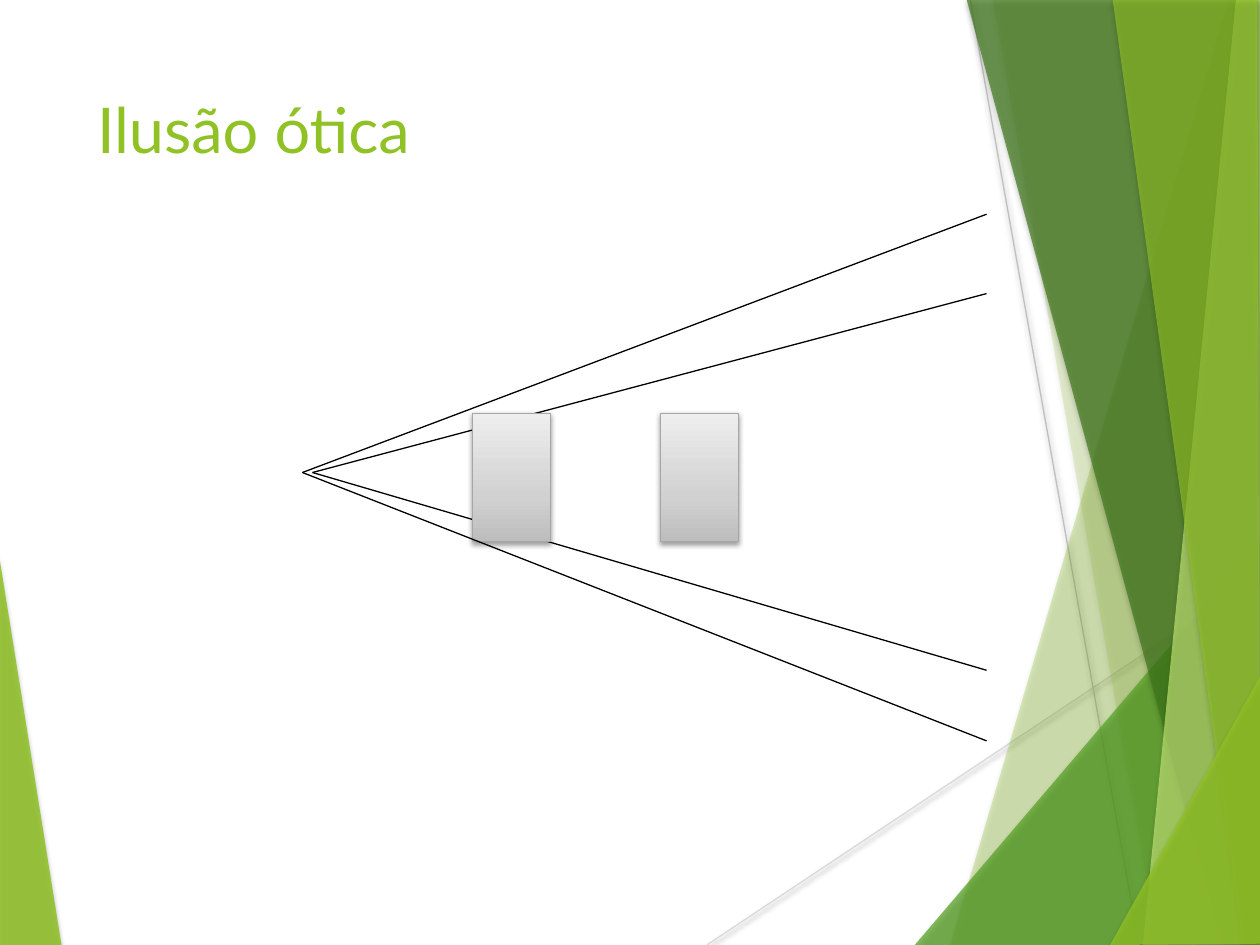
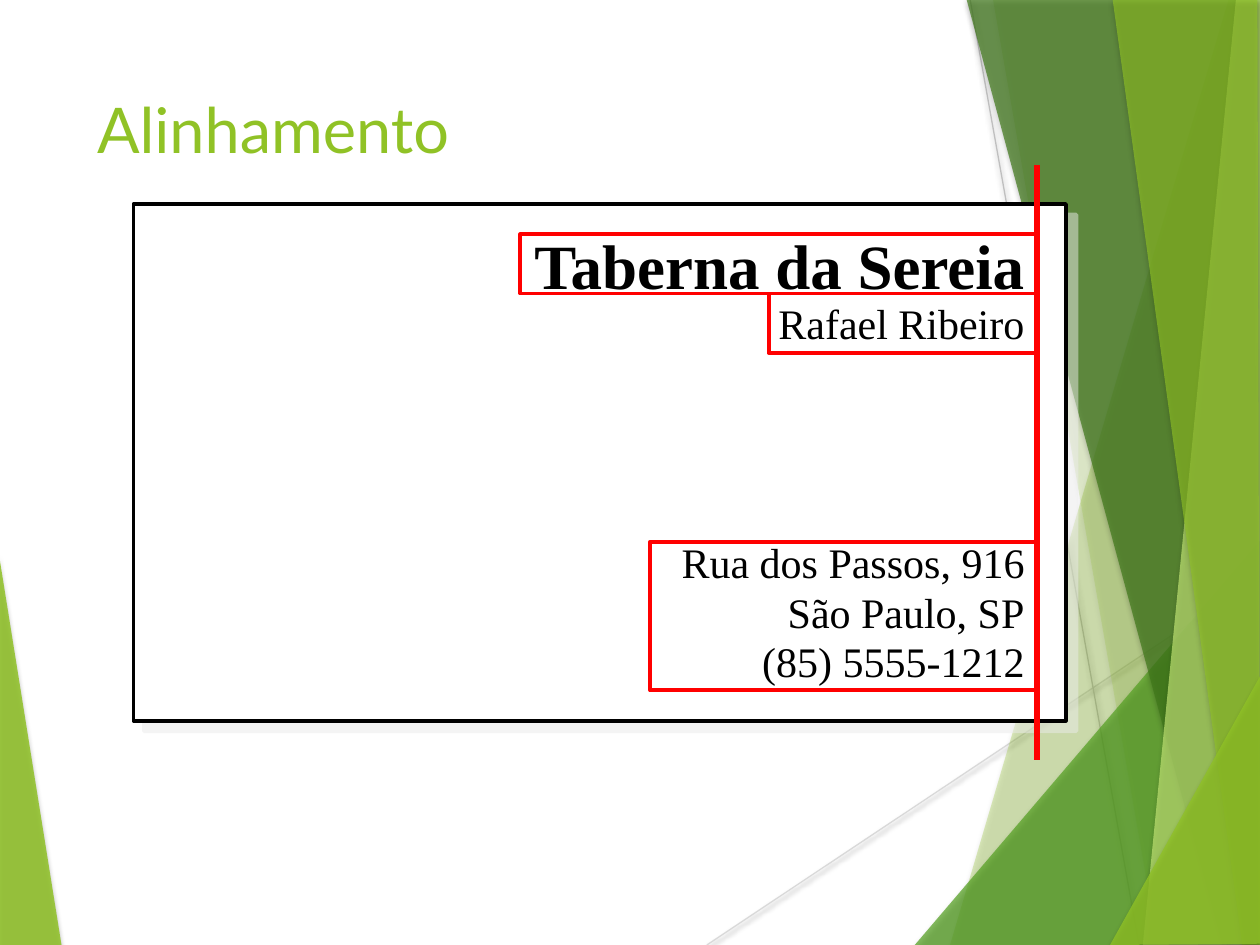
from dataclasses import dataclass
from typing import Optional, Union

from lxml.etree import SubElement
from pptx import Presentation
from pptx.dml.color import RGBColor
from pptx.enum.shapes import MSO_CONNECTOR, MSO_SHAPE
from pptx.enum.text import MSO_ANCHOR, MSO_AUTO_SIZE, PP_ALIGN
from pptx.oxml.ns import qn
from pptx.util import Emu, Pt

PX = 9144  # EMU in one px, 100 px to the inch

GREEN, LEAF, FOREST, LIME = "90C226", "54A021", "3F7819", "C0E474"
BLACK, WHITE, RED = "000000", "FFFFFF", "FF0000"
SERIF = "Times New Roman"


@dataclass(frozen=True)
class Shadow:
    color: str
    alpha: int
    blur: float
    dist: float
    angle: int


@dataclass(frozen=True)
class Shard:
    points: tuple
    color: str
    alpha: int


@dataclass(frozen=True)
class Line:
    start: tuple
    end: tuple
    color: str = BLACK
    width: float = 0.75
    shadow: Optional[Shadow] = None


@dataclass(frozen=True)
class Box:
    left: int
    top: int
    width: int
    height: int
    line: str
    line_width: float
    fill: Union[str, tuple, None] = None  # hex, gradient stops or nothing
    shadow: Optional[Shadow] = None


@dataclass(frozen=True)
class Label:
    text: str
    left: int
    top: int
    height: int
    size: int = 24
    bold: bool = False


SHARD_SHADOW = Shadow(BLACK, 35, 3, 2, 90)
SOFT_SHADOW = Shadow(BLACK, 38, 3.1, 1.6, 90)
CARD_SHADOW = Shadow("EBEBEB", 50, 0, 8.5, 45)

# Background of every slide, back to front
BACKDROP = (
    Shard(((-1, 439), (49, 751), (-1, 750)), GREEN, 85),
    Line((561, 750), (1001, 457), "D9D9D9", shadow=SOFT_SHADOW),
    Line((770, 0), (904, 750), "BFBFBF", shadow=SOFT_SHADOW),
    Shard(((975, 0), (754, 750), (1002, 751), (1001, 1)), GREEN, 30),
    Shard(((788, -1), (919, 750), (1001, 750), (1001, -1)), GREEN, 20),
    Shard(((726, 750), (1000, 429), (1001, 750)), LEAF, 72),
    Shard(((767, -1), (970, 750), (1001, 749), (1001, -1)), FOREST, 70),
    Shard(((981, -1), (907, 750), (1001, 750), (1000, -1)), LIME, 70),
    Shard(((883, -1), (986, 750), (1000, 750), (998, -1)), GREEN, 65),
    Shard(((881, 750), (1001, 535), (1001, 749)), GREEN, 80),
)

# Slide 1: rays from two vanishing points and two equal blocks
OUTER_TIP, INNER_TIP, RAY_END = (240, 375), (248, 375), 783
STEEL = ((0, "BDBDBD"), (35, "D1D1D1"), (100, "EEEEEE"))


def block(left: int) -> Box:
    return Box(left, 328, 62, 102, "A6A6A6", 0.75, STEEL, SOFT_SHADOW)


ILLUSION = (
    Line(OUTER_TIP, (RAY_END, 170)),
    block(524),
    Line(INNER_TIP, (RAY_END, 233)),
    Line((RAY_END, 532), INNER_TIP),
    block(375),
    Line((RAY_END, 588), OUTER_TIP),
)

# Slide 2: a visiting card whose texts share one right edge
EDGE = 823


def frame(left: int, top: int, height: int) -> Box:
    return Box(left, top, EDGE - left, height, RED, 2.25)


CARD = (
    Box(106, 162, 740, 410, BLACK, 2.25, WHITE, CARD_SHADOW),
    Label("Rafael Ribeiro", 532, 225, 63),
    Label("(85) 5555-1212", 532, 493, 63),
    Label("São Paulo, SP", 532, 454, 63),
    Label("Rua dos Passos, 916", 532, 414, 63),
    Label("Taberna da Sereia", 413, 170, 79, size=36, bold=True),
    Line((EDGE, 131), (EDGE, 603), RED, 3),
    frame(516, 430, 118),
    frame(413, 186, 47),
    frame(610, 233, 47),
)


def px(*values: int) -> list:
    return [Emu(v * PX) for v in values]


def rgb(value: str) -> RGBColor:
    return RGBColor.from_string(value)


def set_shadow(sp, shadow: Optional[Shadow]) -> None:
    """Ends the shape properties with a shadow, or with no effect."""
    effects = SubElement(sp.element.spPr, qn("a:effectLst"))
    if shadow:
        outer = SubElement(effects, qn("a:outerShdw"),
                           blurRad=str(Pt(shadow.blur)), dist=str(Pt(shadow.dist)),
                           dir=str(shadow.angle * 60000), algn="ctr", rotWithShape="0")
        color = SubElement(outer, qn("a:srgbClr"), val=shadow.color)
        SubElement(color, qn("a:alpha"), val=str(shadow.alpha * 1000))


def set_line(sp, color: str, width: float) -> None:
    sp.line.color.rgb = rgb(color)
    sp.line.width = Pt(width)


def set_gradient(sp, stops: tuple) -> None:
    sp.fill.gradient()
    sp.fill.gradient_angle = 90
    stop_list = sp.element.spPr.find(".//" + qn("a:gsLst"))
    for old in list(stop_list):
        stop_list.remove(old)
    for position, color in stops:
        stop = SubElement(stop_list, qn("a:gs"), pos=str(position * 1000))
        SubElement(stop, qn("a:srgbClr"), val=color)


def write(tf, text: str, *, font: str, size: int, color: str, bold: bool = False,
          align=PP_ALIGN.LEFT, anchor=MSO_ANCHOR.TOP, wrap: bool = True) -> None:
    tf.word_wrap = wrap
    tf.auto_size = MSO_AUTO_SIZE.NONE
    tf.vertical_anchor = anchor
    p = tf.paragraphs[0]
    p.alignment = align
    r = p.add_run()
    r.text = text
    r.font.name, r.font.size, r.font.bold = font, Pt(size), bold
    r.font.color.rgb = rgb(color)


def draw_shard(s, shard: Shard):
    builder = s.shapes.build_freeform(*shard.points[0], scale=PX)
    builder.add_line_segments(shard.points[1:], close=True)
    sp = builder.convert_to_shape()
    sp.fill.solid()
    sp.fill.fore_color.rgb = rgb(shard.color)
    color = sp.element.spPr.find(qn("a:solidFill")).find(qn("a:srgbClr"))
    SubElement(color, qn("a:alpha"), val=str(shard.alpha * 1000))
    sp.line.fill.background()
    set_shadow(sp, SHARD_SHADOW)
    return sp


def draw_line(s, line: Line):
    sp = s.shapes.add_connector(MSO_CONNECTOR.STRAIGHT, *px(*line.start, *line.end))
    set_line(sp, line.color, line.width)
    set_shadow(sp, line.shadow)
    return sp


def draw_box(s, box: Box):
    sp = s.shapes.add_shape(MSO_SHAPE.RECTANGLE,
                            *px(box.left, box.top, box.width, box.height))
    if box.fill is None:
        sp.fill.background()
    elif isinstance(box.fill, str):
        sp.fill.solid()
        sp.fill.fore_color.rgb = rgb(box.fill)
    else:
        set_gradient(sp, box.fill)
    set_line(sp, box.line, box.line_width)
    set_shadow(sp, box.shadow)
    return sp


def draw_label(s, label: Label):
    sp = s.shapes.add_textbox(*px(label.left, label.top, EDGE - label.left, label.height))
    write(sp.text_frame, label.text, font=SERIF, size=label.size, color=BLACK,
          bold=label.bold, align=PP_ALIGN.RIGHT, anchor=MSO_ANCHOR.MIDDLE, wrap=False)
    return sp


DRAW = {Shard: draw_shard, Line: draw_line, Box: draw_box, Label: draw_label}


def draw_all(s, items: tuple) -> list:
    return [DRAW[type(item)](s, item) for item in items]


def add_slide(prs, title: str):
    s = prs.slides.add_slide(prs.slide_layouts[5])
    sp = s.shapes.title
    sp.left, sp.top, sp.width, sp.height = px(67, 67, 694, 144)
    write(sp.text_frame, title, font="Lato", size=36, color=GREEN)
    return s


def move_to_master(prs, shapes: list) -> None:
    """Places shapes behind everything else on the slide master."""
    tree = prs.slide_master.shapes.element
    for i, sp in enumerate(shapes):
        sp.element.xpath(".//p:cNvPr")[0].set("id", str(100 + i))
        tree.insert(2 + i, sp.element)


def main() -> None:
    prs = Presentation()
    prs.slide_width, prs.slide_height = px(1000, 750)

    s = add_slide(prs, "Ilusão ótica")
    move_to_master(prs, draw_all(s, BACKDROP))
    draw_all(s, ILLUSION)

    s = add_slide(prs, "Alinhamento")
    draw_all(s, CARD)

    prs.save("out.pptx")


if __name__ == "__main__":
    main()
